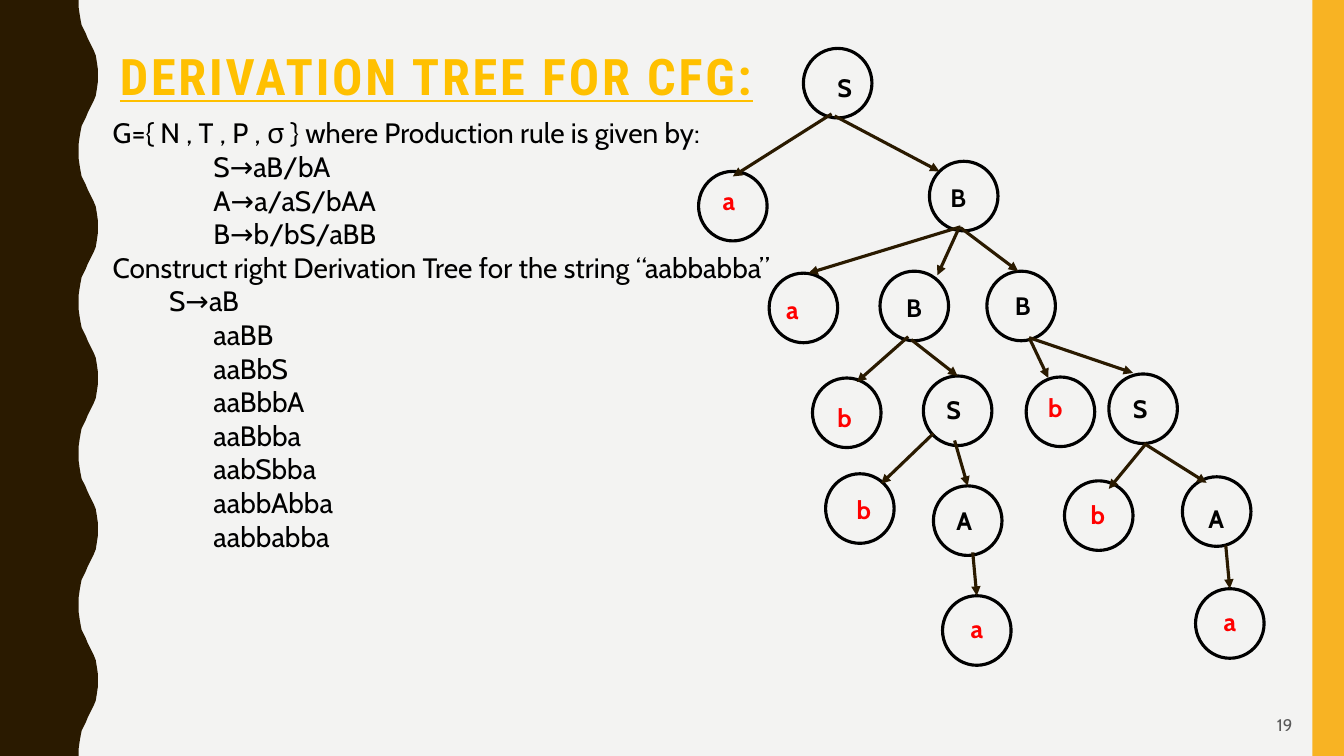
from dataclasses import dataclass
from typing import Optional

from lxml.etree import SubElement
from pptx import Presentation
from pptx.dml.color import RGBColor
from pptx.enum.shapes import MSO_CONNECTOR as Connector, MSO_SHAPE as Preset
from pptx.enum.text import MSO_ANCHOR as Anchor, PP_ALIGN as Align
from pptx.oxml.ns import qn
from pptx.shapes.autoshape import Shape
from pptx.slide import Slide
from pptx.text.text import Font
from pptx.util import Emu, Inches, Pt

COLUMNS, ROWS = 133.33, 75
SLIDE_WIDTH, SLIDE_HEIGHT = Inches(13.33), Inches(7.5)


@dataclass(frozen=True)
class Theme:
    background: str = "F3F3F2"
    wave: str = "2A1A00"
    stripe: str = "F8B323"
    heading: str = "FFC000"
    ink: str = "000000"
    terminal: str = "FF0000"
    page: str = "595959"
    heading_face: str = "Roboto Condensed"
    body_face: str = "Cabin"
    heading_size: int = 36
    body_size: int = 20
    symbol_size: int = 18
    page_size: int = 12
    stroke: float = 2.25


@dataclass(frozen=True)
class Area:
    column: float
    row: float
    columns: float
    rows: float


@dataclass(frozen=True)
class Branch:
    from_column: float
    from_row: float
    to_column: float
    to_row: float


@dataclass(frozen=True)
class Node:
    symbol: str
    column: float
    row: float
    label_column: float
    label_row: float
    branch: Optional[Branch] = None


@dataclass(frozen=True)
class Step:
    text: str
    indent: float = 10


THEME = Theme()
NODE_COLUMNS, NODE_ROWS = 6.8, 6.9
LABEL_COLUMNS, LABEL_ROWS = 7.2, 4

WAVE_PERIOD, WAVE_COUNT = 15, 5
WAVE_RISE = [
    (7.8, 0), (7.8, 0.7), (7.9, 1.4), (8, 2), (8.1, 2.5),
    (8.3, 2.9), (8.5, 3.3), (8.7, 3.8), (8.9, 4.2), (9.1, 4.6),
    (9.3, 5), (9.5, 5.5), (9.6, 6.1), (9.7, 6.8), (9.7, 7.5),
]

STEPS = [
    Step("G={ N , T , P , σ } where Production rule is given by:", 0),
    Step("S→aB/bA"),
    Step("A→a/aS/bAA"),
    Step("B→b/bS/aBB"),
    Step("Construct right Derivation Tree for the string “aabbabba”", 0),
    Step("S→aB", 5.6),
    *map(Step, ["aaBB", "aaBbS", "aaBbbA", "aaBbba", "aabSbba", "aabbAbba", "aabbabba"]),
]

TREE = [
    Node("S", 79.7, 4.8, 82.1, 6.7),
    Node("a", 69.3, 17, 70.7, 17.9, Branch(82.5, 11.3, 72.7, 17.5)),
    Node("B", 92.2, 16, 93.3, 17.6, Branch(82.8, 11.5, 93.2, 17)),
    Node("a", 76.3, 27.1, 77, 28.7, Branch(95.3, 22.5, 80.2, 27.1)),
    Node("B", 87.3, 26.9, 88.9, 28.5, Branch(95.1, 22.7, 93, 27.3)),
    Node("B", 97.9, 26.9, 99.7, 28.3, Branch(95.3, 22.6, 101, 26.9)),
    Node("b", 80.6, 37.5, 82.1, 39.4, Branch(90.1, 33.4, 85, 37.9)),
    Node("S", 91.6, 37.3, 92.9, 38.6, Branch(90.4, 33.7, 95, 37.3)),
    Node("b", 101.8, 37.4, 103, 38.4, Branch(102.1, 33.5, 104, 37.5)),
    Node("S", 110, 37.1, 111.4, 38.5, Branch(102.1, 33.5, 112.4, 37)),
    Node("b", 81.9, 47, 84, 48.5, Branch(92.6, 43, 87.4, 48)),
    Node("A", 92.6, 48.2, 93.9, 49.6, Branch(94.7, 43.7, 96, 48.2)),
    Node("b", 105.6, 47.7, 107.2, 49, Branch(113.7, 44, 110, 48.5)),
    Node("A", 117.3, 47.3, 118.9, 49.4, Branch(113.5, 44, 119.7, 47.9)),
    Node("a", 93.5, 59.1, 95.3, 60.4, Branch(96.5, 54.8, 96.9, 59.1)),
    Node("a", 118.6, 58.4, 120.4, 59.7, Branch(121.6, 54.1, 122, 58.4)),
]


def across(columns: float) -> Emu:
    return Emu(round(SLIDE_WIDTH * columns / COLUMNS))


def down(rows: float) -> Emu:
    return Emu(round(SLIDE_HEIGHT * rows / ROWS))


def box(area: Area) -> tuple[Emu, Emu, Emu, Emu]:
    return across(area.column), down(area.row), across(area.columns), down(area.rows)


def rgb(color: str) -> RGBColor:
    return RGBColor.from_string(color)


def style(font: Font, face: str, size: int, color: str, bold: bool = False) -> None:
    font.name = face
    font.size = Pt(size)
    font.color.rgb = rgb(color)
    font.bold = bold


def paint(shape: Shape, color: str) -> None:
    shape.shadow.inherit = False
    shape.fill.solid()
    shape.fill.fore_color.rgb = rgb(color)
    shape.line.fill.background()


def add_text(slide: Slide, area: Area, text: str, face: str, size: int,
             color: str, bold: bool = False) -> Shape:
    words = slide.shapes.add_textbox(*box(area))
    words.text_frame.word_wrap = True
    words.text_frame.text = text
    for paragraph in words.text_frame.paragraphs:
        style(paragraph.runs[0].font, face, size, color, bold)
    return words


def draw_frame(slide: Slide) -> None:
    slide.background.fill.solid()
    slide.background.fill.fore_color.rgb = rgb(THEME.background)
    fall = [(column, WAVE_PERIOD - row) for column, row in reversed(WAVE_RISE[:-1])]
    edge = [(column, row + period * WAVE_PERIOD)
            for period in range(WAVE_COUNT) for column, row in WAVE_RISE + fall]
    wave = slide.shapes.build_freeform(0, 0)
    wave.add_line_segments([(across(column), down(row)) for column, row in edge + [(0, ROWS)]])
    paint(wave.convert_to_shape(), THEME.wave)
    stripe = slide.shapes.add_shape(Preset.RECTANGLE, *box(Area(130.2, 0, 3.13, ROWS)))
    paint(stripe, THEME.stripe)


def draw_heading(slide: Slide) -> None:
    heading = add_text(slide, Area(10.9, 4.7, 117.1, 9.8), "DERIVATION TREE FOR CFG:",
                       THEME.heading_face, THEME.heading_size, THEME.heading, True)
    line = heading.text_frame.paragraphs[0]
    line.line_spacing = 0.9
    line.runs[0].font.underline = True
    line.runs[0].font._element.set("spc", "200")


def draw_derivation(slide: Slide) -> None:
    derivation = add_text(slide, Area(10.2, 11, 118.2, 44.8),
                          "\n".join(step.text for step in STEPS),
                          THEME.body_face, THEME.body_size, THEME.ink)
    for paragraph, step in zip(derivation.text_frame.paragraphs, STEPS):
        properties = paragraph._p.get_or_add_pPr()
        properties.set("marL", str(across(step.indent)))
        properties.set("indent", "0")


def draw_branch(slide: Slide, branch: Branch) -> None:
    arrow = slide.shapes.add_connector(
        Connector.STRAIGHT, across(branch.from_column), down(branch.from_row),
        across(branch.to_column), down(branch.to_row))
    arrow.line.color.rgb = rgb(THEME.wave)
    arrow.line.width = Pt(THEME.stroke)
    SubElement(arrow.line._get_or_add_ln(), qn("a:tailEnd"), type="triangle")
    SubElement(arrow._element.spPr, qn("a:effectLst"))


def draw_node(slide: Slide, node: Node) -> None:
    circle = slide.shapes.add_shape(
        Preset.OVAL, *box(Area(node.column, node.row, NODE_COLUMNS, NODE_ROWS)))
    circle.shadow.inherit = False
    circle.fill.background()
    circle.line.color.rgb = rgb(THEME.ink)
    circle.line.width = Pt(THEME.stroke)
    color = THEME.terminal if node.symbol.islower() else THEME.ink
    add_text(slide, Area(node.label_column, node.label_row, LABEL_COLUMNS, LABEL_ROWS),
             node.symbol, THEME.body_face, THEME.symbol_size, color, True)
    if node.branch:
        draw_branch(slide, node.branch)


def draw_page_number(slide: Slide) -> None:
    page = add_text(slide, Area(98.4, 70, 30.8, 3.8), "19",
                    THEME.body_face, THEME.page_size, THEME.page)
    page.text_frame.vertical_anchor = Anchor.MIDDLE
    page.text_frame.paragraphs[0].alignment = Align.RIGHT


def main() -> None:
    deck = Presentation()
    deck.slide_width, deck.slide_height = SLIDE_WIDTH, SLIDE_HEIGHT
    slide = deck.slides.add_slide(deck.slide_layouts[6])
    draw_frame(slide)
    draw_heading(slide)
    draw_derivation(slide)
    for node in TREE:
        draw_node(slide, node)
    draw_page_number(slide)
    deck.save("out.pptx")


if __name__ == "__main__":
    main()
